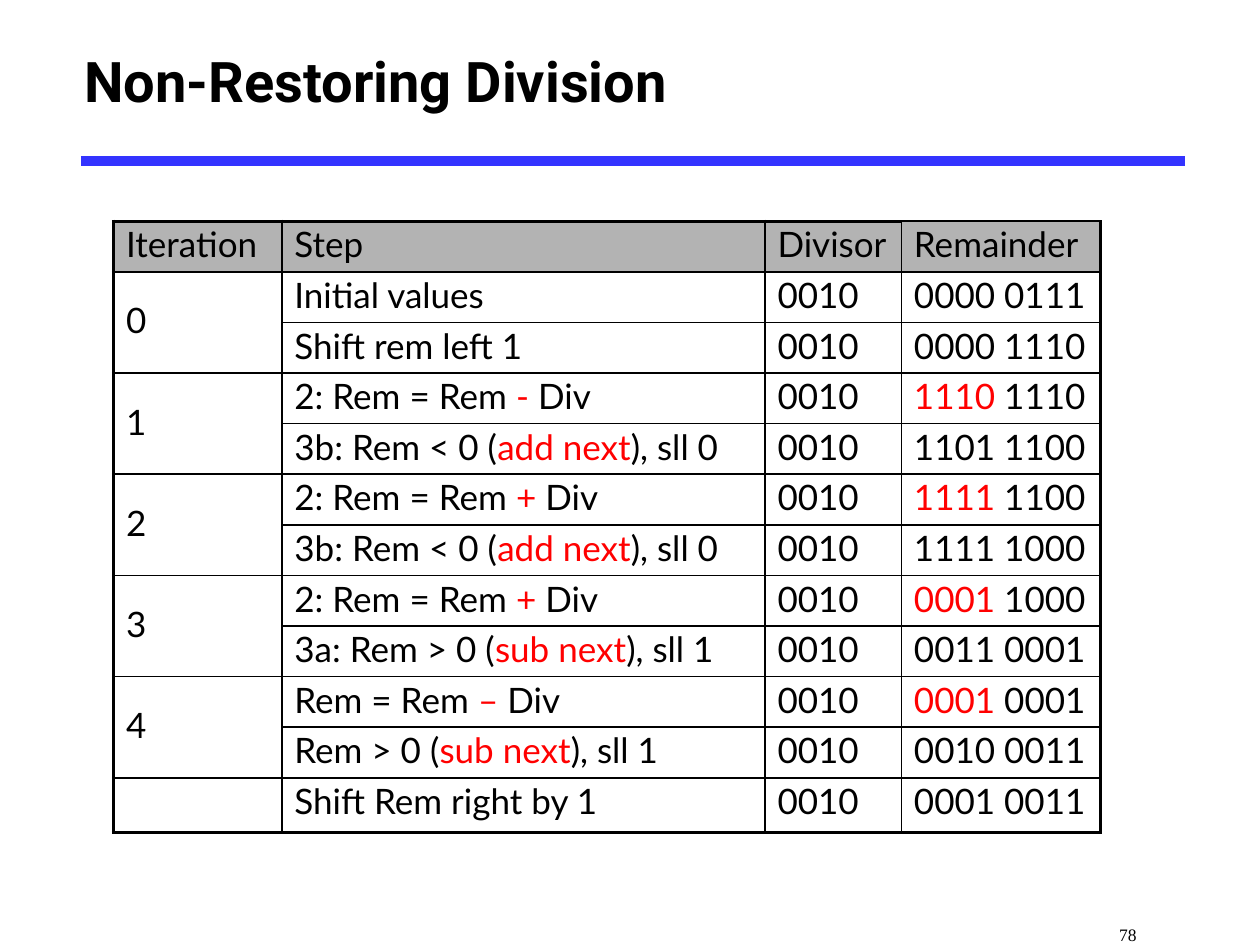
from dataclasses import dataclass

from lxml import etree
from pptx import Presentation
from pptx.dml.color import RGBColor
from pptx.enum.shapes import MSO_CONNECTOR
from pptx.enum.text import MSO_ANCHOR, PP_ALIGN
from pptx.oxml.ns import qn
from pptx.util import Cm, Pt

STRAIGHT = MSO_CONNECTOR.STRAIGHT
MIDDLE, BOTTOM = MSO_ANCHOR.MIDDLE, MSO_ANCHOR.BOTTOM
LEFT, CENTER = PP_ALIGN.LEFT, PP_ALIGN.CENTER


@dataclass(frozen=True)
class Theme:
    ink: RGBColor = RGBColor(0, 0, 0)
    accent: RGBColor = RGBColor(0xFF, 0, 0)
    rule: RGBColor = RGBColor(0x33, 0x33, 0xFF)
    header: RGBColor = RGBColor(0xB3, 0xB3, 0xB3)
    title_font: str = "Roboto"
    table_font: str = "Lato"
    number_font: str = "Times New Roman"
    title_size: Pt = Pt(32)
    table_size: Pt = Pt(20)
    number_size: Pt = Pt(10)
    rule_width: Pt = Pt(6)
    outer_border: Pt = Pt(2.25)
    inner_border: Pt = Pt(1)


THEME = Theme()
COLUMN_WIDTHS = [3.39, 9.74, 2.75, 4.02]
ROW_HEIGHT, LAST_ROW_HEIGHT = 1.02, 1.09
HEADINGS = ["Iteration", "Step", "Divisor", "Remainder"]
DIVISOR = "0010"
ACCENT_MARK = "*"
STEPS = [
    ("Initial values", "0000 0111"),
    ("Shift rem left 1", "0000 1110"),
    ("2: Rem = Rem *-* Div", "*1110* 1110"),
    ("3b: Rem < 0 (*add next*), sll 0", "1101 1100"),
    ("2: Rem = Rem *+* Div", "*1111* 1100"),
    ("3b: Rem < 0 (*add next*), sll 0", "1111 1000"),
    ("2: Rem = Rem *+* Div", "*0001* 1000"),
    ("3a: Rem > 0 (*sub next*), sll 1", "0011 0001"),
    ("Rem = Rem *–* Div", "*0001* 0001"),
    ("Rem > 0 (*sub next*), sll 1", "0010 0011"),
    ("Shift Rem right by 1", "0001 0011"),
]


def style_font(font, name, size, bold=False):
    font.name, font.size, font.bold = name, size, bold
    font.color.rgb = THEME.ink


def add_label(slide, text, box, font_name, size, anchor, align=LEFT, bold=False):
    frame = slide.shapes.add_textbox(*map(Cm, box)).text_frame
    frame.word_wrap = True
    frame.vertical_anchor = anchor
    paragraph = frame.paragraphs[0]
    paragraph.text = text
    paragraph.alignment = align
    style_font(paragraph.font, font_name, size, bold)
    return frame


def add_rule(slide, left, right, y):
    rule = slide.shapes.add_connector(STRAIGHT, Cm(left), Cm(y), Cm(right), Cm(y))
    rule.line.color.rgb = THEME.rule
    rule.line.width = THEME.rule_width
    etree.SubElement(rule._element.spPr, qn("a:effectLst"))


def set_borders(cell, outer_sides):
    properties = cell._tc.get_or_add_tcPr()
    for position, side in enumerate("LRTB"):
        width = THEME.outer_border if side in outer_sides else THEME.inner_border
        border = etree.Element(qn(f"a:ln{side}"), w=str(int(width)))
        fill = etree.SubElement(border, qn("a:solidFill"))
        etree.SubElement(fill, qn("a:srgbClr"), val=str(THEME.ink))
        properties.insert(position, border)


def fill_cell(cell, text):
    paragraph = cell.text_frame.paragraphs[0]
    style_font(paragraph.font, THEME.table_font, THEME.table_size)
    paragraph.line_spacing = 0.9
    for index, part in enumerate(text.split(ACCENT_MARK)):
        if part:
            run = paragraph.add_run()
            run.text = part
            if index % 2:
                run.font.color.rgb = THEME.accent


def outer_sides(row, column, last_row, last_column):
    sides = {
        "L": column == 0,
        "R": column == last_column,
        "T": row == 0 and column < last_column,
        "B": row == last_row,
    }
    return [side for side, is_outer in sides.items() if is_outer]


def add_division_table(slide, left, top):
    rows = [HEADINGS]
    for index, (step, remainder) in enumerate(STEPS):
        starts_iteration = index % 2 == 0 and index < len(STEPS) - 1
        iteration = str(index // 2) if starts_iteration else ""
        rows.append([iteration, step, DIVISOR, remainder])
    last_row, last_column = len(rows) - 1, len(HEADINGS) - 1

    table = slide.shapes.add_table(
        len(rows), len(HEADINGS), Cm(left), Cm(top),
        Cm(sum(COLUMN_WIDTHS)), Cm(ROW_HEIGHT * last_row + LAST_ROW_HEIGHT),
    ).table
    table.first_row = table.horz_banding = False
    for column, width in zip(table.columns, COLUMN_WIDTHS):
        column.width = Cm(width)

    for row, texts in enumerate(rows):
        table.rows[row].height = Cm(LAST_ROW_HEIGHT if row == last_row else ROW_HEIGHT)
        for column, text in enumerate(texts):
            cell = table.cell(row, column)
            fill_cell(cell, text)
            if row == 0:
                cell.fill.solid()
                cell.fill.fore_color.rgb = THEME.header
            else:
                cell.fill.background()
            set_borders(cell, outer_sides(row, column, last_row, last_column))

    for row in range(1, last_row, 2):
        iteration = table.cell(row, 0)
        iteration.merge(table.cell(row + 1, 0))
        iteration.vertical_anchor = MIDDLE


def main():
    deck = Presentation()
    deck.slide_width, deck.slide_height = Cm(25.4), Cm(19.05)
    slide = deck.slides.add_slide(deck.slide_layouts[6])
    add_rule(slide, 1.63, 23.88, 3.25)
    add_label(slide, "Non-Restoring Division", (1.45, 0.2, 21.59, 2.84),
              THEME.title_font, THEME.title_size, MIDDLE, bold=True)
    page_number = add_label(slide, "78", (20.07, 18.08, 5.33, 0.97),
                            THEME.number_font, THEME.number_size, BOTTOM, CENTER)
    page_number.margin_bottom = Cm(0)
    add_division_table(slide, 2.29, 4.46)
    deck.save("out.pptx")


if __name__ == "__main__":
    main()
